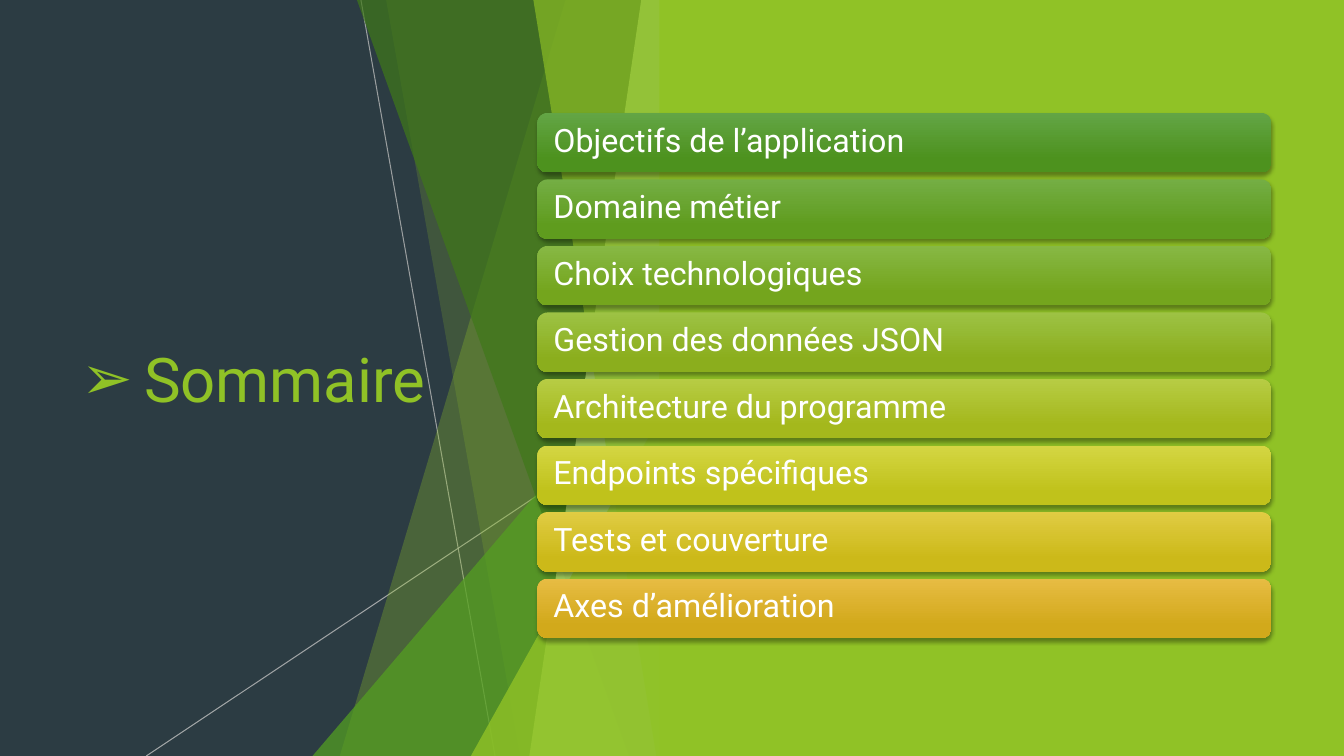
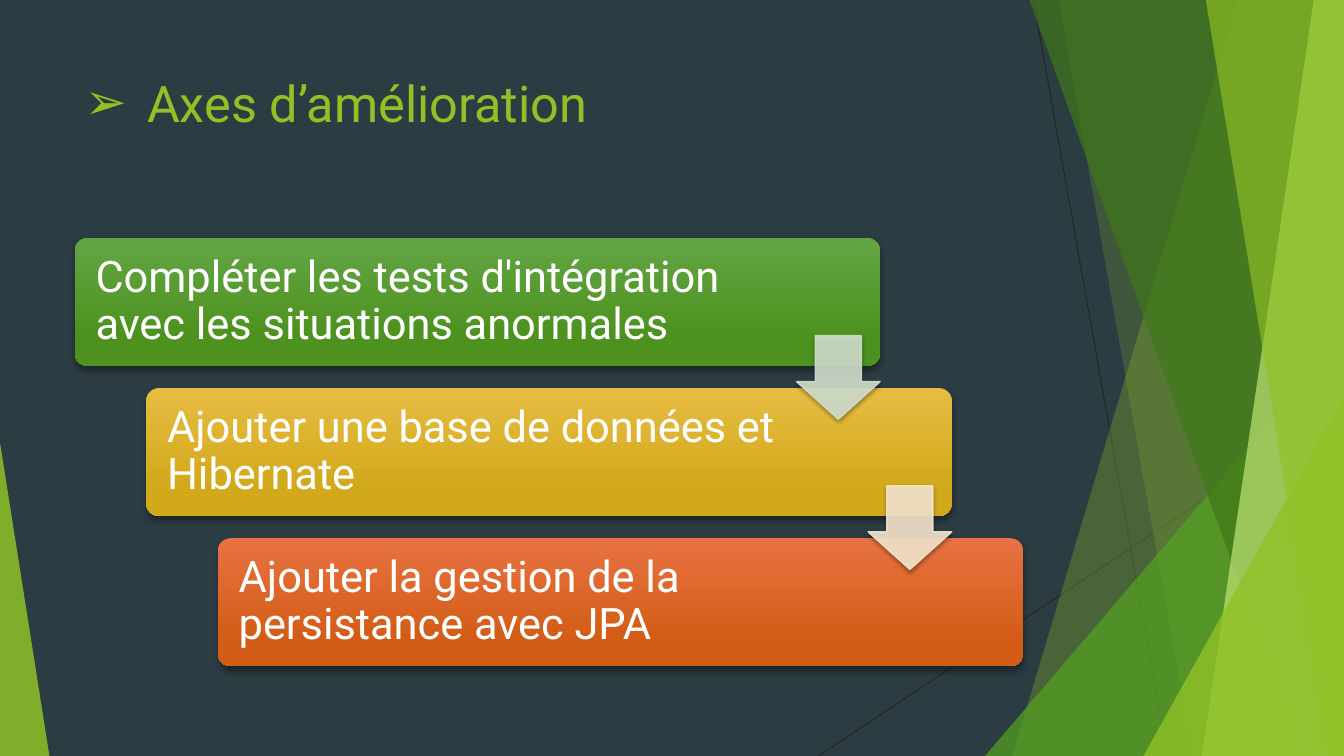
from dataclasses import dataclass

from lxml import etree
from pptx import Presentation
from pptx.dml.color import RGBColor
from pptx.enum.shapes import MSO_CONNECTOR, MSO_SHAPE
from pptx.enum.text import MSO_ANCHOR, PP_ALIGN
from pptx.oxml.ns import qn
from pptx.util import Inches, Pt

RECTANGLE = MSO_SHAPE.RECTANGLE
ROUNDED = MSO_SHAPE.ROUNDED_RECTANGLE
TRIANGLE = MSO_SHAPE.ISOSCELES_TRIANGLE
DOWN_ARROW = MSO_SHAPE.DOWN_ARROW
STRAIGHT = MSO_CONNECTOR.STRAIGHT
TOP, MIDDLE = MSO_ANCHOR.TOP, MSO_ANCHOR.MIDDLE
LEFT = PP_ALIGN.LEFT


@dataclass(frozen=True)
class Theme:
    font: str = "Roboto"
    cover_title: int = 44
    title: int = 36
    step: int = 31
    entry: int = 23
    background: str = "2C3C43"
    lime: str = "90C226"
    green: str = "54A021"
    forest: str = "3F7819"
    pale: str = "C0E474"
    white: str = "FFFFFF"
    dark_ray: str = "262626"
    light_ray: str = "BFBFBF"
    shadow: str = "000000"
    # Card gradients, top to bottom
    leaf: tuple = ("63A545", "4D921E")
    amber: tuple = ("E7BC43", "D2A91B")
    orange: tuple = ("E87242", "D35D16")
    blends: tuple = (
        ("74AE44", "5F9C1E"), ("87B844", "74A51D"), ("9DC244", "8BAE1D"),
        ("B7CC44", "A4B81C"), ("D4D643", "C0C21B"), ("E0CC43", "CCB919"))
    arrows: tuple = ("D1DFCD", "F5E6CD")


THEME = Theme()
WIDTH, HEIGHT = 13.33, 7.5


def rgb(value):
    return RGBColor.from_string(value)


def add_xml(parent, tag, **attributes):
    return etree.SubElement(parent, qn(tag), {k: str(v) for k, v in attributes.items()})


def set_opacity(shape, percent):
    for color in list(shape.element.spPr.iter(qn("a:srgbClr"))):
        add_xml(color, "a:alpha", val=percent * 1000)


def write(shape, text, *, size, color, anchor=MIDDLE, insets=(0.1, 0.05, 0.1, 0.05),
          spacing=1.0, bullet=None, indent=0):
    """Put one formatted paragraph into a shape."""
    frame = shape.text_frame
    frame.word_wrap = True
    frame.vertical_anchor = anchor
    (frame.margin_left, frame.margin_top,
     frame.margin_right, frame.margin_bottom) = map(Inches, insets)
    paragraph = frame.paragraphs[0]
    paragraph.alignment = LEFT
    paragraph.line_spacing = spacing
    run = paragraph.add_run()
    run.text = text
    run.font.name = THEME.font
    run.font.size = Pt(size)
    run.font.color.rgb = rgb(color)
    if bullet:
        properties = paragraph._p.get_or_add_pPr()
        properties.set("marL", str(Inches(indent)))
        properties.set("indent", str(-Inches(indent)))
        add_xml(properties, "a:buFont", typeface=THEME.font)
        add_xml(properties, "a:buChar", char=bullet)


class Deck:
    def __init__(self, theme):
        self.theme = theme
        self.presentation = Presentation()
        self.presentation.slide_width = Inches(WIDTH)
        self.presentation.slide_height = Inches(HEIGHT)
        self.slide = None

    def new_slide(self):
        self.slide = self.presentation.slides.add_slide(self.presentation.slide_layouts[6])
        fill = self.slide.background.fill
        fill.solid()
        fill.fore_color.rgb = rgb(self.theme.background)

    def paint(self, shape, color, opacity=100):
        shape.shadow.inherit = False
        shape.fill.solid()
        shape.fill.fore_color.rgb = rgb(color)
        shape.line.fill.background()
        if opacity < 100:
            set_opacity(shape, opacity)

    def shape(self, kind, box, color, opacity=100, adjustments=()):
        shape = self.slide.shapes.add_shape(kind, *map(Inches, box))
        for index, value in enumerate(adjustments):
            shape.adjustments[index] = value
        self.paint(shape, color, opacity)
        return shape

    def facet(self, top_x, bottom_x, right, color, opacity):
        """Fill the area between a slanted edge and a vertical right edge."""
        builder = self.slide.shapes.build_freeform(Inches(top_x), 0)
        corners = ((right, 0), (right, HEIGHT), (bottom_x, HEIGHT))
        builder.add_line_segments([(Inches(x), Inches(y)) for x, y in corners])
        self.paint(builder.convert_to_shape(), color, opacity)

    def ray(self, start, end, color, opacity=100):
        line = self.slide.shapes.add_connector(STRAIGHT, *map(Inches, (*start, *end)))
        line.line.color.rgb = rgb(color)
        line.line.width = Pt(0.75)
        if opacity < 100:
            set_opacity(line, opacity)
        add_xml(line.element.spPr, "a:effectLst")

    def facets(self, right, ray_color, ray_opacities=(100, 100)):
        """Draw the faceted band that ends at the given right edge."""
        t = self.theme
        self.ray((right - 3.08, 0), (right - 1.75, HEIGHT), ray_color, ray_opacities[0])
        self.ray((right, 4.03), (right - 5.21, HEIGHT), ray_color, ray_opacities[1])
        self.facet(right - 1.05, right - 3.29, right, t.lime, 30)
        self.facet(right - 2.83, right - 1.5, right, t.lime, 20)
        self.shape(TRIANGLE, (right - 3.56, 3.33, 3.56, 4.17), t.green, 72, [1])
        self.facet(right - 3.12, right - 0.42, right, t.forest, 70)
        self.facet(right - 0.3, right - 1.41, right, t.pale, 70)
        self.facet(right - 1.37, right - 0.15, right, t.lime, 65)
        self.shape(TRIANGLE, (right - 1.99, 3.93, 1.99, 3.57), t.lime, 80, [1])

    def title(self, text, box, size, anchor):
        title = self.slide.shapes.add_textbox(*map(Inches, box))
        write(title, text, size=size, color=self.theme.lime, anchor=anchor,
              bullet="➢", indent=0.62)

    def drop_shadow(self, shape, blur, distance):
        effects = shape.element.spPr.find(qn("a:effectLst"))
        shadow = add_xml(effects, "a:outerShdw", blurRad=Pt(blur), dist=Pt(distance),
                         dir=90 * 60000, algn="ctr", rotWithShape=0)
        color = add_xml(shadow, "a:srgbClr", val=self.theme.shadow)
        add_xml(color, "a:alpha", val=35000)

    def card(self, text, box, gradient, size, insets, corner, shadow):
        card = self.shape(ROUNDED, box, gradient[0], adjustments=[corner])
        card.fill.gradient()
        card.fill.gradient_angle = 270
        for stop, color, position in zip(card.fill.gradient_stops, gradient, (0, 0.78)):
            stop.color.rgb = rgb(color)
            stop.position = position
        self.drop_shadow(card, *shadow)
        write(card, text, size=size, color=self.theme.white, insets=insets, spacing=0.9)

    def step_arrow(self, box, color):
        arrow = self.shape(DOWN_ARROW, box, color, adjustments=[0.45, 0.55])
        # The head takes 45 % of the height, the shaft 55 % of the width
        arrow.adjustments[0], arrow.adjustments[1] = 0.55, 0.45
        arrow.line.color.rgb = rgb(color)
        arrow.line.width = Pt(1)
        set_opacity(arrow, 90)
        self.drop_shadow(arrow, 3, 2)


def build_summary(deck):
    t = deck.theme
    deck.new_slide()
    deck.title("Sommaire", (0.71, 1.51, 3.88, 4.48), t.cover_title, MIDDLE)

    # Faceted band and lime panel
    deck.facets(6.66, t.light_ray, (75, 80))
    deck.shape(RECTANGLE, (6.54, 0, WIDTH - 6.54, HEIGHT), t.lime)

    # Table of contents
    entries = ("Objectifs de l’application", "Domaine métier", "Choix technologiques",
               "Gestion des données JSON", "Architecture du programme",
               "Endpoints spécifiques", "Tests et couverture", "Axes d’amélioration")
    gradients = (t.leaf, *t.blends, t.amber)
    for row, (entry, gradient) in enumerate(zip(entries, gradients)):
        deck.card(entry, (5.33, 1.12 + row * 0.66, 7.28, 0.59), gradient, t.entry,
                  insets=(0.13, 0, 0.13, 0.02), corner=0.17, shadow=(3, 2))


def build_improvements(deck):
    t = deck.theme
    deck.new_slide()

    # Faceted band and left corner
    deck.facets(WIDTH, t.dark_ray)
    deck.shape(TRIANGLE, (0, 4.39, 0.49, 3.11), t.lime, 85, [0])
    deck.title("Axes d’amélioration", (0.74, 0.67, 9.4, 1.44), t.title, TOP)

    # Staircase of steps
    left, top, width, shift, drop = 0.74, 2.36, 7.99, 0.71, 1.49
    steps = (("Compléter les tests d'intégration avec les situations anormales", t.leaf),
             ("Ajouter une base de données et Hibernate", t.amber),
             ("Ajouter la gestion de la persistance avec JPA", t.orange))
    for index, (step, gradient) in enumerate(steps):
        deck.card(step, (left + index * shift, top + index * drop, width, 1.27),
                  gradient, t.step, insets=(0.17, 0, 1.45, 0), corner=0.1, shadow=(4, 3))

    # Arrows between steps, flush with each card's right edge
    side = 0.83
    for index, color in enumerate(t.arrows):
        deck.step_arrow((left + width - side + index * shift,
                         top + 0.97 + index * drop, side, side), color)


def main():
    deck = Deck(THEME)
    build_summary(deck)
    build_improvements(deck)
    deck.presentation.save("out.pptx")


if __name__ == "__main__":
    main()
